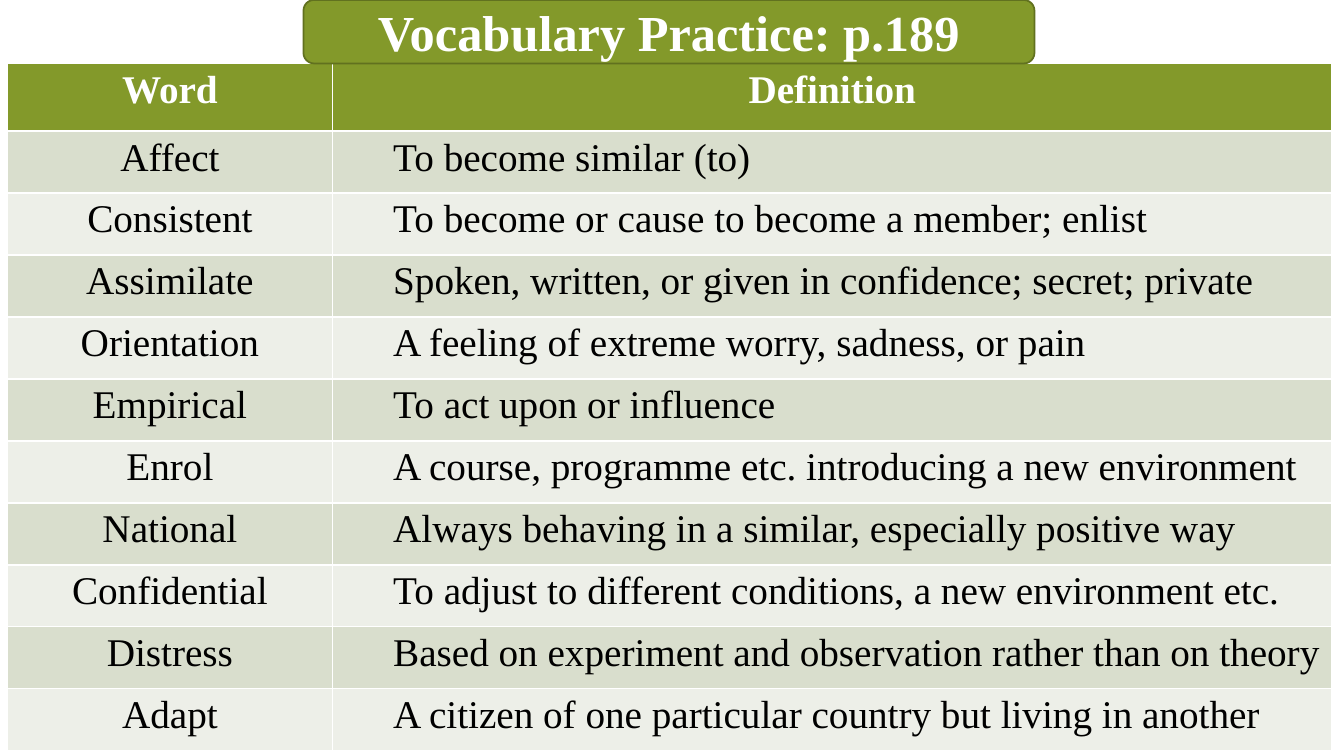
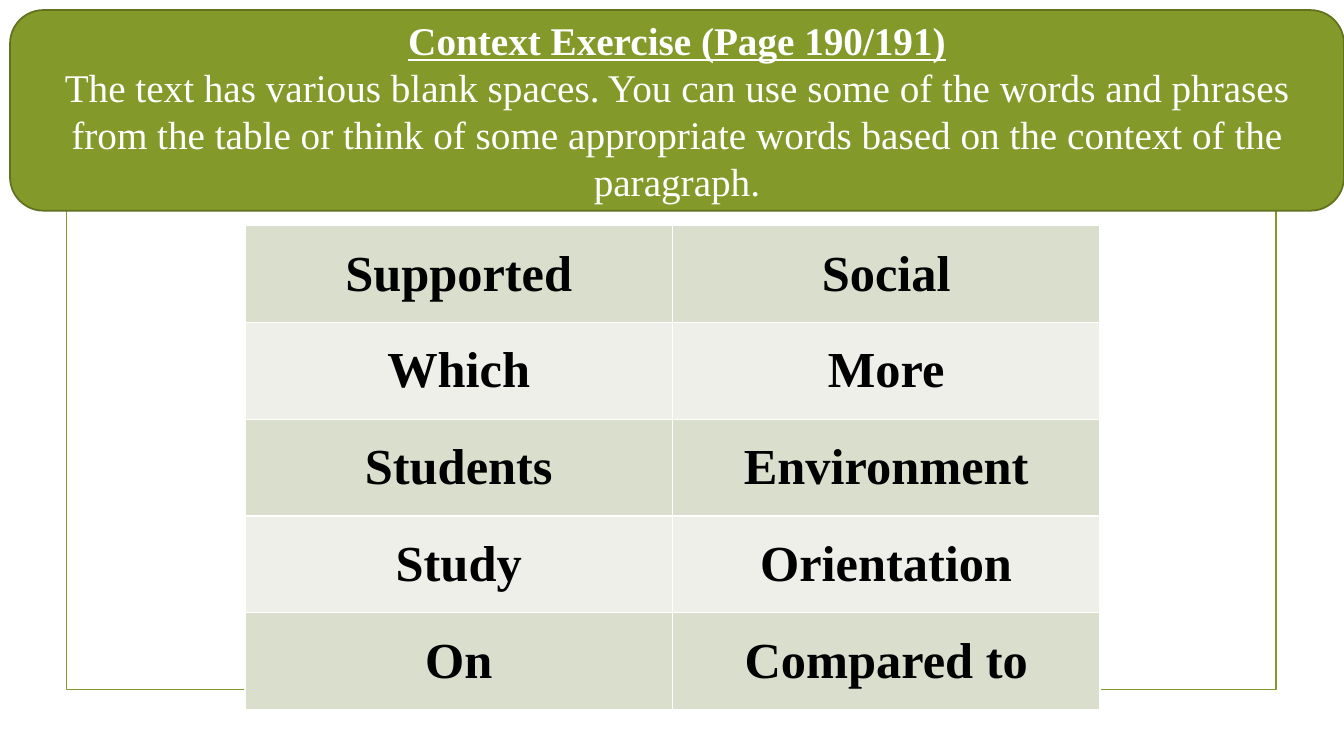
import lxml.etree
import pptx
import pptx.dml.color
import pptx.enum.shapes
import pptx.enum.text
import pptx.oxml.ns
import pptx.util

Inches = pptx.util.Inches
Pt = pptx.util.Pt
RGBColor = pptx.dml.color.RGBColor
MSO_SHAPE = pptx.enum.shapes.MSO_SHAPE
MSO_ANCHOR = pptx.enum.text.MSO_ANCHOR
PP_ALIGN = pptx.enum.text.PP_ALIGN

OLIVE = RGBColor(0x83, 0x99, 0x2A)
DARK_OLIVE = RGBColor(0x61, 0x71, 0x1F)
BAND_DARK = RGBColor(0xD9, 0xDE, 0xCD)
BAND_LIGHT = RGBColor(0xED, 0xEF, 0xE8)
WHITE = RGBColor(0xFF, 0xFF, 0xFF)
BLACK = RGBColor(0x00, 0x00, 0x00)
FONT = "Times New Roman"

VOCABULARY = [
    ("Affect", "To become similar (to)"),
    ("Consistent", "To become or cause to become a member; enlist"),
    ("Assimilate", "Spoken, written, or given in confidence; secret; private"),
    ("Orientation", "A feeling of extreme worry, sadness, or pain"),
    ("Empirical", "To act upon or influence"),
    ("Enrol", "A course, programme etc. introducing a new environment"),
    ("National", "Always behaving in a similar, especially positive way"),
    ("Confidential", "To adjust to different conditions, a new environment etc."),
    ("Distress", "Based on experiment and observation rather than on theory"),
    ("Adapt", "A citizen of one particular country but living in another"),
]
CONTEXT_WORDS = [
    ("Supported", "Social"),
    ("Which", "More"),
    ("Students", "Environment"),
    ("Study", "Orientation"),
    ("On", "Compared to"),
]
INSTRUCTIONS = (
    "The text has various blank spaces. You can use some of the words and phrases "
    "from the table or think of some appropriate words based on the context of the paragraph."
)


def write_text(paragraph, text, size=28, color=BLACK, bold=False, underline=False,
               align=PP_ALIGN.CENTER):
    """Write formatted text into a paragraph."""
    paragraph.alignment = align
    run = paragraph.add_run()
    run.text = text
    run.font.name = FONT
    run.font.size = Pt(size)
    run.font.bold = bold
    run.font.underline = underline
    run.font.color.rgb = color


def add_box(slide, kind, left, top, width, height, fill=None, line=OLIVE):
    """Add an outlined shape, filled when a fill colour is given."""
    shape = slide.shapes.add_shape(
        kind, Inches(left), Inches(top), Inches(width), Inches(height))
    shape.shadow.inherit = False
    if fill is None:
        shape.fill.background()
    else:
        shape.fill.solid()
        shape.fill.fore_color.rgb = fill
    shape.line.color.rgb = line
    shape.line.width = Pt(1.25)
    return shape


def add_banner(slide, left, top, width, height, lines):
    """Add the rounded title banner with one paragraph per (text, format) pair."""
    shape = add_box(slide, MSO_SHAPE.ROUNDED_RECTANGLE, left, top, width, height,
                    fill=OLIVE, line=DARK_OLIVE)
    frame = shape.text_frame
    frame.word_wrap = True
    frame.vertical_anchor = MSO_ANCHOR.MIDDLE
    for index, (text, text_format) in enumerate(lines):
        paragraph = frame.add_paragraph() if index else frame.paragraphs[0]
        write_text(paragraph, text, color=WHITE, **text_format)


def style_cell(cell, fill):
    """Give a cell thin white borders and a solid fill."""
    properties = cell._tc.get_or_add_tcPr()
    for side in ("a:lnL", "a:lnR", "a:lnT", "a:lnB"):
        border = lxml.etree.SubElement(
            properties, pptx.oxml.ns.qn(side), w=str(Pt(1)))
        solid = lxml.etree.SubElement(border, pptx.oxml.ns.qn("a:solidFill"))
        lxml.etree.SubElement(solid, pptx.oxml.ns.qn("a:srgbClr"), val=str(WHITE))
    cell.fill.solid()
    cell.fill.fore_color.rgb = fill


def add_banded_table(slide, left, top, column_widths, row_heights):
    """Add a table with alternating row fills and return it."""
    table = slide.shapes.add_table(
        len(row_heights), len(column_widths), Inches(left), Inches(top),
        Inches(sum(column_widths)), Inches(sum(row_heights))).table
    table.first_row = False
    table.horz_banding = False
    for column, width in zip(table.columns, column_widths):
        column.width = Inches(width)
    for index, (row, height) in enumerate(zip(table.rows, row_heights)):
        row.height = Inches(height)
        for cell in row.cells:
            style_cell(cell, BAND_LIGHT if index % 2 else BAND_DARK)
    return table


def add_vocabulary_table(slide, left, top):
    """Add the word and definition table under an olive header row."""
    row_heights = [0.67] + [0.615] * len(VOCABULARY)
    table = add_banded_table(slide, left, top, [3.23, 9.91], row_heights)
    table.first_row = True
    for column, heading in enumerate(("Word", "Definition")):
        cell = table.cell(0, column)
        cell.fill.fore_color.rgb = OLIVE
        write_text(cell.text_frame.paragraphs[0], heading, color=WHITE, bold=True)
    for index, (word, definition) in enumerate(VOCABULARY, start=1):
        word_cell, definition_cell = table.rows[index].cells
        for cell in (word_cell, definition_cell):
            cell.fill.fore_color.rgb = BAND_DARK if index % 2 else BAND_LIGHT
        write_text(word_cell.text_frame.paragraphs[0], word)
        definition_cell.margin_left = Inches(0.6)
        write_text(definition_cell.text_frame.paragraphs[0], definition,
                   align=PP_ALIGN.LEFT)


def add_word_table(slide, left, top):
    """Add the two-column table of words for the exercise."""
    table = add_banded_table(
        slide, left, top, [4.24] * 2, [0.96] * len(CONTEXT_WORDS))
    for row, words in zip(table.rows, CONTEXT_WORDS):
        for cell, word in zip(row.cells, words):
            cell.vertical_anchor = MSO_ANCHOR.MIDDLE
            write_text(cell.text_frame.paragraphs[0], word, size=36, bold=True)


def add_blank_slide(presentation):
    """Add a slide on the blank layout."""
    return presentation.slides.add_slide(presentation.slide_layouts[6])


def build_vocabulary_slide(presentation):
    """Build the vocabulary practice slide."""
    slide = add_blank_slide(presentation)
    add_vocabulary_table(slide, 0.07, 0.63)
    add_banner(slide, 3.01, 0, 7.25, 0.63,
               [("Vocabulary Practice: p.189", {"size": 36, "bold": True})])


def build_context_slide(presentation):
    """Build the context exercise slide."""
    slide = add_blank_slide(presentation)
    add_box(slide, MSO_SHAPE.RECTANGLE, 0.66, 0.67, 12, 6.17)
    add_word_table(slide, 2.43, 2.24)
    add_banner(slide, 0.1, 0.1, 13.23, 1.99, [
        ("Context Exercise (Page 190/191)", {"bold": True, "underline": True}),
        (INSTRUCTIONS, {}),
    ])


def main():
    """Build and save the presentation."""
    presentation = pptx.Presentation()
    presentation.slide_width = Inches(13.33)
    presentation.slide_height = Inches(7.5)
    build_vocabulary_slide(presentation)
    build_context_slide(presentation)
    presentation.save("out.pptx")


if __name__ == "__main__":
    main()
